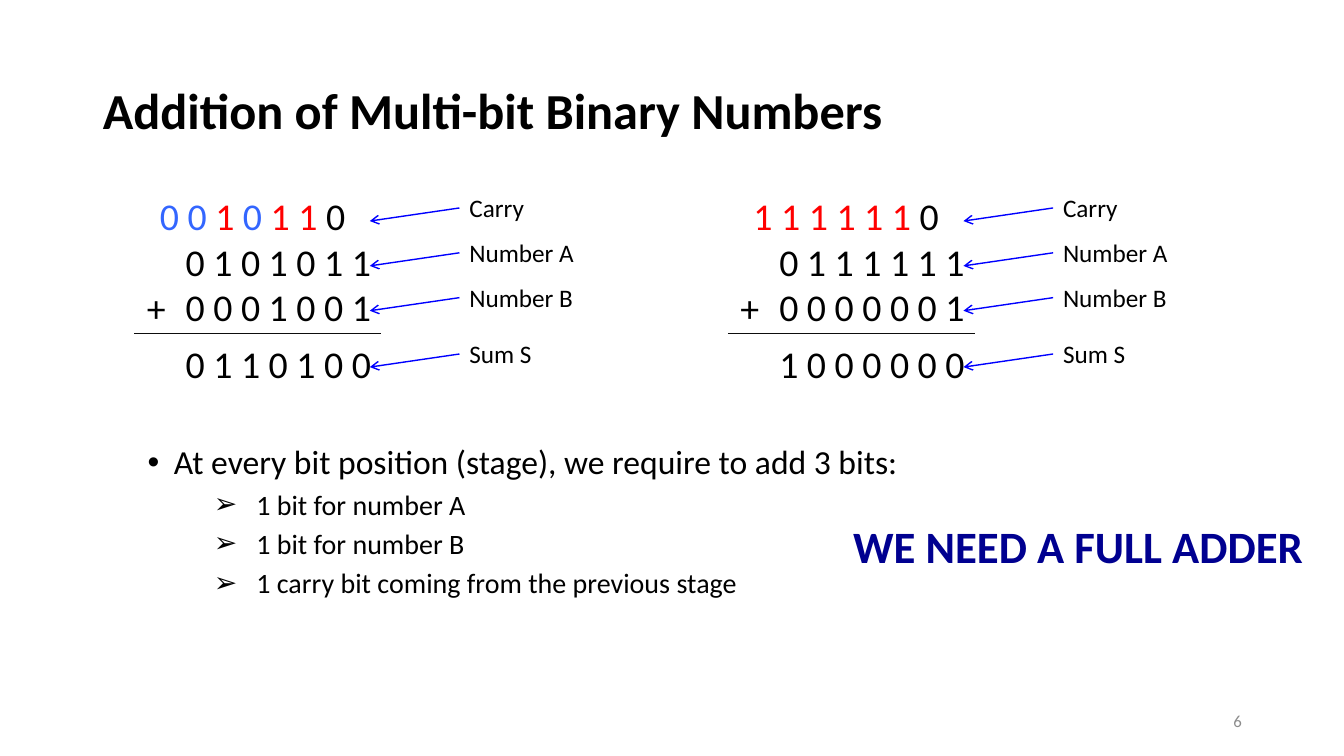
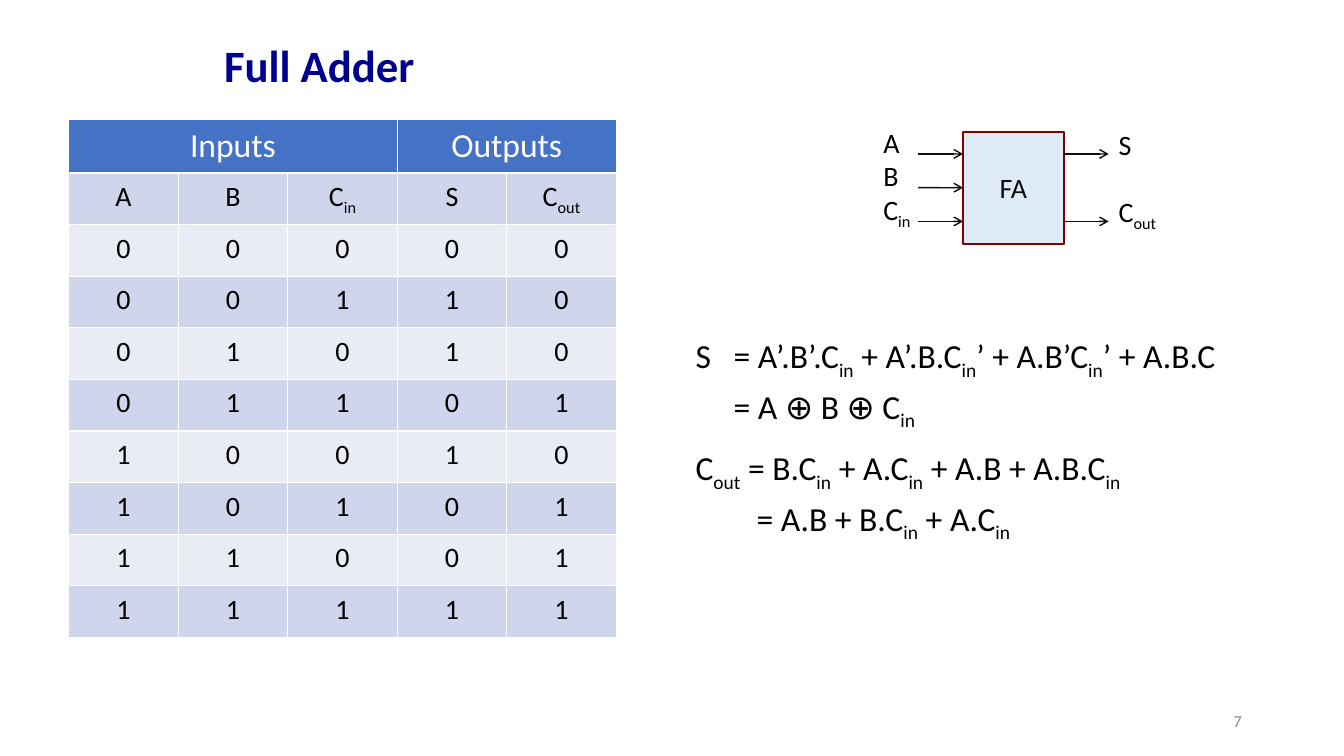
"""Build two slides on multi-bit binary addition and the full adder."""
from lxml import etree
from pptx import Presentation
from pptx.dml.color import RGBColor
from pptx.enum.shapes import MSO_CONNECTOR, MSO_SHAPE
from pptx.enum.text import MSO_ANCHOR, MSO_AUTO_SIZE, PP_ALIGN
from pptx.oxml.ns import qn
from pptx.util import Cm, Pt

LEFT, CENTER, RIGHT = PP_ALIGN.LEFT, PP_ALIGN.CENTER, PP_ALIGN.RIGHT
TOP, MIDDLE = MSO_ANCHOR.TOP, MSO_ANCHOR.MIDDLE
NO_AUTOFIT = MSO_AUTO_SIZE.NONE
STRAIGHT, RECTANGLE = MSO_CONNECTOR.STRAIGHT, MSO_SHAPE.RECTANGLE
LEFT_SIDE = 1

FONT = "Calibri"
COLORS = {
    "black": "000000", "white": "FFFFFF", "navy": "000090", "ink": "0D0D0D",
    "gray": "8C8C8C", "one": "FF0000", "zero": "3366FF", "arrow": "0000FF",
    "header": "4472C4", "band": "CFD5EA", "light band": "E9EBF5",
    "adder": "DEEBF7", "adder edge": "800000",
}
WIDE = {"margin_left": Cm(0.33), "margin_right": Cm(0.33),
        "margin_top": Cm(0.17), "margin_bottom": Cm(0.17)}

ADDITIONS = [
    {"left": 2.54, "carry": "0010110", "operands": ["0101011", "0001001", "0110100"]},
    {"left": 17.5, "carry": "1111110", "operands": ["0111111", "0000001", "1000000"]},
]
ROW_LABELS = [("Carry", 4.73), ("Number A", 5.86), ("Number B", 6.99), ("Sum S", 8.41)]
STAGE_BITS = [
    (0, "At every bit position (stage), we require to add 3 bits:"),
    (1, "1 bit for number A"),
    (1, "1 bit for number B"),
    (1, "1 carry bit coming from the previous stage"),
]
BULLETS = [("•", 24, 0.66, -0.66), ("➢", 20, 2.74, -1.07)]

HEADINGS = [("Inputs", 0, 2), ("Outputs", 3, 4)]
SIGNALS = ["A", "B", "C|in", "S", "C|out"]
TRUTH_ROWS = ["00000", "00110", "01010", "01101", "10010", "10101", "11001", "11111"]
INPUT_PINS = [("A", -1), ("B", 0), ("C|in", 1)]
OUTPUT_PINS = [("S", -1), ("C|out", 1)]
EQUATIONS = [
    ("S\t= A’.B’.C|in| + A’.B.C|in|’ + A.B’C|in|’ + A.B.C", 0.96, 0),
    ("\t= A ⊕ B ⊕ C|in", 0.96, 8),
    ("C|out| = B.C|in| + A.C|in| + A.B + A.B.C|in", 1.54, 0),
    ("\t= A.B + B.C|in| + A.C|in", 1.54, 0),
]


def rgb(color):
    return RGBColor.from_string(COLORS[color])


def apply_format(target, values):
    for attribute, value in values.items():
        setattr(target, attribute, value)


def write(paragraph, text, size, color="black", bold=False, **spacing):
    """Add text in which every second part between bars is a subscript."""
    apply_format(paragraph, spacing)
    for index, part in enumerate(text.split("|")):
        run = paragraph.add_run()
        run.text = part
        apply_format(run.font, {"name": FONT, "size": Pt(size), "bold": bold})
        run.font.color.rgb = rgb(color)
        if index % 2:
            run.font._element.set("baseline", "-25000")


def paragraphs(frame, count):
    return [frame.paragraphs[0]] + [frame.add_paragraph() for _ in range(count - 1)]


def place(shape, box):
    apply_format(shape, dict(zip(("left", "top", "width", "height"), map(Cm, box))))


def add_text(slide, box, text="", size=18, color="black", bold=False, align=LEFT, **frame_format):
    label = slide.shapes.add_textbox(*map(Cm, box))
    apply_format(label.text_frame, {"word_wrap": True, **frame_format})
    if text:
        write(label.text_frame.paragraphs[0], text, size, color, bold, alignment=align)
    return label


def add_line(slide, start, end, color="ink", arrow=True):
    line = slide.shapes.add_connector(STRAIGHT, *map(Cm, start + end))
    line.line.color.rgb = rgb(color)
    line.line.width = Pt(1)
    if arrow:
        etree.SubElement(line.line._get_or_add_ln(), qn("a:tailEnd"), type="arrow")
    etree.SubElement(line.element.spPr, qn("a:effectLst"))
    return line


def add_slide(prs, layout, number, title, box, size, color, frame_format, **spacing):
    slide = prs.slides.add_slide(prs.slide_layouts[layout])
    heading = slide.shapes.title
    place(heading, box)
    apply_format(heading.text_frame, {"auto_size": NO_AUTOFIT, **frame_format})
    write(heading.text_frame.paragraphs[0], title, size, color, True, **spacing)
    add_text(slide, (23.93, 17.65, 7.62, 1.02), number, 12, "gray",
             align=RIGHT, vertical_anchor=MIDDLE)
    return slide


def add_addition(slide, left, carry, operands):
    carry_box = add_text(slide, (left, 4.73, 6.41, 1.3))
    carry_line = carry_box.text_frame.paragraphs[0]
    for bit in carry[:-1]:
        write(carry_line, bit + " ", 27, "one" if bit == "1" else "zero", alignment=RIGHT)
    write(carry_line, carry[-1], 27)

    operand_box = add_text(slide, (left, 5.89, 7.06, 4.02))
    for line, bits, gap in zip(paragraphs(operand_box.text_frame, 3), operands, (0, 8, 0)):
        write(line, " ".join(bits), 27, alignment=RIGHT, space_after=Pt(gap))
    add_text(slide, (left + 0.91, 7.05, 1, 1.3), "+", 27)
    add_line(slide, (left + 0.84, 8.41), (left + 7.06, 8.41), arrow=False)

    label_left = left + 9.04
    for text, top in ROW_LABELS:
        label = add_text(slide, (label_left, top, 5.08, 1.02), text)
        middle = top + 0.51
        pointer = add_line(slide, (label_left, middle), (label_left - 2.26, middle + 0.33), "arrow")
        pointer.begin_connect(label, LEFT_SIDE)


def add_stage_bits(slide):
    body = slide.placeholders[1]
    place(body, (3.39, 10.95, 25.96, 4.5))
    apply_format(body.text_frame, {"auto_size": NO_AUTOFIT, "vertical_anchor": TOP, **WIDE})
    for line, (level, text) in zip(paragraphs(body.text_frame, len(STAGE_BITS)), STAGE_BITS):
        bullet, size, margin, indent = BULLETS[level]
        write(line, text, size, level=level, space_before=Pt(0), space_after=Pt(4))
        properties = line._p.get_or_add_pPr()
        properties.set("marL", str(Cm(margin)))
        properties.set("indent", str(Cm(indent)))
        etree.SubElement(properties, qn("a:buChar"), char=bullet)


def fill_cell(cell, text, size, color, fill):
    apply_format(cell, WIDE)
    cell.fill.solid()
    cell.fill.fore_color.rgb = rgb(fill)
    write(cell.text_frame.paragraphs[0], text, size, color, alignment=CENTER)


def add_truth_table(slide):
    rows = [SIGNALS] + TRUTH_ROWS
    column_count, row_count = len(SIGNALS), len(rows) + 1
    table = slide.shapes.add_table(row_count, column_count, Cm(1.73), Cm(3),
                                   Cm(2.76 * column_count), Cm(1.3 * row_count)).table
    for text, first, last in HEADINGS:
        table.cell(0, first).merge(table.cell(0, last))
        fill_cell(table.cell(0, first), text, 24, "white", "header")
    for row, values in enumerate(rows, 1):
        for column, value in enumerate(values):
            fill_cell(table.cell(row, column), value, 20, "black",
                      "band" if row % 2 else "light band")


def add_adder(slide):
    left, top, width, height = 24.27, 3.32, 2.54, 2.82
    pin_gap, pin_length = 0.85, 1.13
    right, middle = left + width, top + height / 2
    adder = slide.shapes.add_shape(RECTANGLE, *map(Cm, (left, top, width, height)))
    adder.shadow.inherit = False
    adder.fill.solid()
    adder.fill.fore_color.rgb = rgb("adder")
    adder.line.color.rgb = rgb("adder edge")
    adder.line.width = Pt(1.5)
    adder.text_frame.vertical_anchor = MIDDLE
    write(adder.text_frame.paragraphs[0], "FA", 20, "ink", alignment=CENTER)

    for text, step in INPUT_PINS:
        y = middle + step * pin_gap
        pin = add_line(slide, (left - pin_length, y), (left, y))
        if step == 0:
            pin.end_connect(adder, LEFT_SIDE)
        add_text(slide, (left - 2.26, y - 0.85, 1.7, 1.12), text, 20)
    for text, step in OUTPUT_PINS:
        y = middle + step * pin_gap
        add_line(slide, (right, y), (right + pin_length, y))
        add_text(slide, (right + pin_length, y - 0.8, 1.98, 1.12), text, 20)


def add_equations(slide):
    box = add_text(slide, (17.2, 8.16, 14.35, 5.13), **WIDE)
    lines = paragraphs(box.text_frame, len(EQUATIONS))
    for line, (text, tab, gap) in zip(lines, EQUATIONS):
        write(line, text, 24, line_spacing=1.1, space_after=Pt(gap))
        stops = etree.SubElement(line._p.get_or_add_pPr(), qn("a:tabLst"))
        etree.SubElement(stops, qn("a:tab"), pos=str(Cm(tab)), algn="l")


def main():
    prs = Presentation()
    prs.slide_width, prs.slide_height = Cm(33.87), Cm(19.05)

    addition = add_slide(prs, 1, "6", "Addition of Multi-bit Binary Numbers",
                         (2.34, 1.02, 29.21, 3.68), 36, "black",
                         {"vertical_anchor": MIDDLE}, alignment=LEFT, line_spacing=0.9)
    for example in ADDITIONS:
        add_addition(addition, **example)
    add_stage_bits(addition)
    add_text(addition, (21.17, 12.91, 12.14, 1.7), "WE NEED A FULL ADDER",
             32, "navy", True, **WIDE)

    full_adder = add_slide(prs, 5, "7", "Full Adder", (1.98, 0.79, 12.14, 1.7), 32, "navy",
                           {"vertical_anchor": TOP, **WIDE}, alignment=CENTER)
    add_truth_table(full_adder)
    add_adder(full_adder)
    add_equations(full_adder)
    prs.save("out.pptx")


if __name__ == "__main__":
    main()
